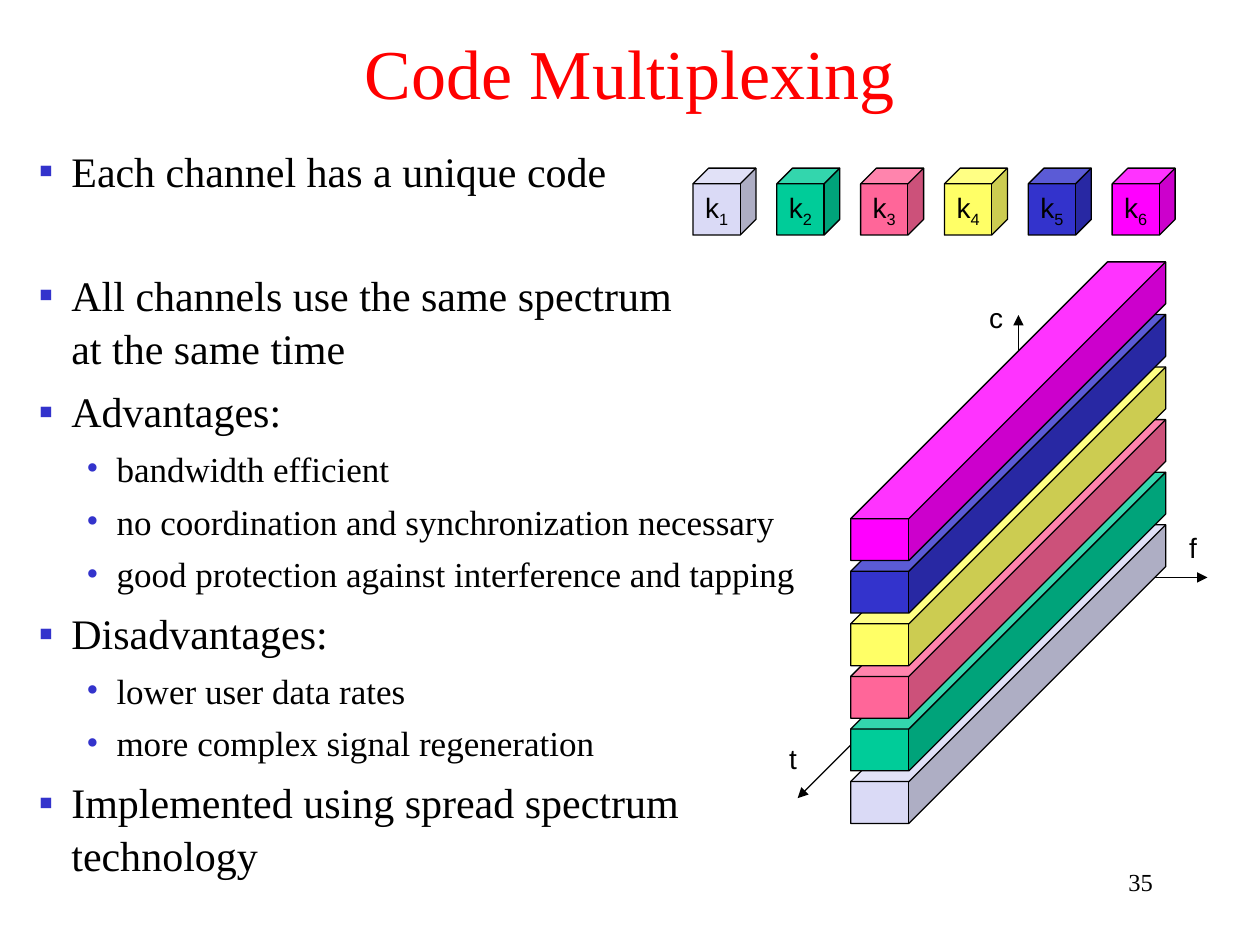
from lxml import etree
from pptx import Presentation
from pptx.dml.color import RGBColor
from pptx.enum.shapes import MSO_CONNECTOR, MSO_SHAPE
from pptx.enum.text import MSO_ANCHOR, PP_ALIGN
from pptx.oxml.ns import qn
from pptx.util import Cm, Pt

CUBE = MSO_SHAPE.CUBE
STRAIGHT = MSO_CONNECTOR.STRAIGHT
MIDDLE = MSO_ANCHOR.MIDDLE
LEFT, CENTER, RIGHT = PP_ALIGN.LEFT, PP_ALIGN.CENTER, PP_ALIGN.RIGHT


class Theme:
    serif = "Times New Roman"
    sans = "Arial"
    black = "000000"
    title = "FF0000"
    bullet = "3333CC"
    channels = ["DADAF6", "00CC99", "FF6699", "FFFF66", "3333CC", "FF00FF"]
    title_size = 40
    point_size = 24
    detail_size = 20
    label_size = 16
    number_size = 14
    line_width = 0.75


def style_text(paragraph, size, font=Theme.serif, color=Theme.black, align=LEFT):
    paragraph.alignment = align
    for run in paragraph.runs:
        run.font.size = Pt(size)
        run.font.name = font
        run.font.color.rgb = RGBColor.from_string(color)


def add_cube(left, top, width, height, depth, color):
    cube = slide.shapes.add_shape(CUBE, Cm(left), Cm(top), Cm(width), Cm(height))
    cube.adjustments[0] = depth
    cube.shadow.inherit = False
    cube.fill.solid()
    cube.fill.fore_color.rgb = RGBColor.from_string(color)
    cube.line.color.rgb = RGBColor.from_string(Theme.black)
    cube.line.width = Pt(Theme.line_width)
    return cube


prs = Presentation()
prs.slide_width, prs.slide_height = Cm(25.4), Cm(19.05)
slide = prs.slides.add_slide(prs.slide_layouts[6])

page_number = slide.shapes.add_textbox(Cm(18.21), Cm(17.35), Cm(5.28), Cm(1.27)).text_frame
page_number.word_wrap = True
page_number.text = "35"
style_text(page_number.paragraphs[0], Theme.number_size, align=RIGHT)

origin_x, origin_y = 20.53, 11.64
for dx, dy in [(-4.45, 4.45), (0, -5.29), (3.81, 0)]:
    axis = slide.shapes.add_connector(
        STRAIGHT, Cm(origin_x), Cm(origin_y), Cm(origin_x + dx), Cm(origin_y + dy))
    axis.line.color.rgb = RGBColor.from_string(Theme.black)
    axis.line.width = Pt(Theme.line_width)
    etree.SubElement(axis.line._get_or_add_ln(), qn("a:tailEnd"), type="triangle")
    etree.SubElement(axis._element.spPr, qn("a:effectLst"))

title = slide.shapes.add_textbox(0, Cm(0.38), Cm(25.4), Cm(2.12)).text_frame
title.word_wrap = True
title.vertical_anchor = MIDDLE
title.text = "Code Multiplexing"
style_text(title.paragraphs[0], Theme.title_size, color=Theme.title, align=CENTER)

levels = [
    {"size": Theme.point_size, "margin": 0.66, "hang": 0.66, "mark": "▪", "before": 6},
    {"size": Theme.detail_size, "margin": 1.57, "hang": 0.61, "mark": "•", "before": 5},
]
points = [
    (0, "Each channel has a unique code"),
    (0, "All channels use the same spectrum \vat the same time"),
    (0, "Advantages:"),
    (1, "bandwidth efficient"),
    (1, "no coordination and synchronization necessary"),
    (1, "good protection against interference and tapping"),
    (0, "Disadvantages:"),
    (1, "lower user data rates"),
    (1, "more complex signal regeneration"),
    (0, "Implemented using spread spectrum technology"),
]
body = slide.shapes.add_textbox(Cm(0.53), Cm(2.75), Cm(16.18), Cm(15.62)).text_frame
body.word_wrap = True
for index, (depth, wording) in enumerate(points):
    level = levels[depth]
    point = body.add_paragraph() if index else body.paragraphs[0]
    point.text = wording
    point.level = depth
    point.line_spacing = 1.05
    point.space_before = Pt({0: 0, 1: 41}.get(index, level["before"]))
    properties = point._p.get_or_add_pPr()
    properties.set("marL", str(Cm(level["margin"])))
    properties.set("indent", str(-Cm(level["hang"])))
    bullet_color = etree.SubElement(properties, qn("a:buClr"))
    etree.SubElement(bullet_color, qn("a:srgbClr"), val=Theme.bullet)
    etree.SubElement(properties, qn("a:buFont"), typeface=Theme.serif)
    etree.SubElement(properties, qn("a:buChar"), char=level["mark"])
    style_text(point, level["size"])

for index, color in enumerate(Theme.channels):
    add_cube(17.15, 10.58 - 1.06 * index, 6.35, 6.02, 0.86, color)

for index, color in enumerate(Theme.channels):
    code = add_cube(13.97 + 1.69 * index, 3.39, 1.27, 1.35, 0.25, color).text_frame
    code.word_wrap = False
    code.vertical_anchor = MIDDLE
    code.text = "k"
    subscript = code.paragraphs[0].add_run()
    subscript.text = str(index + 1)
    subscript._r.get_or_add_rPr().set("baseline", "-25000")
    style_text(code.paragraphs[0], Theme.label_size, Theme.sans, align=CENTER)

for name, left, top, width in [("f", 23.72, 10.58, 0.66), ("t", 15.66, 14.82, 0.66),
                               ("c", 19.69, 5.93, 0.79)]:
    axis_label = slide.shapes.add_textbox(Cm(left), Cm(top), Cm(width), Cm(0.93)).text_frame
    axis_label.word_wrap = False
    axis_label.text = name
    style_text(axis_label.paragraphs[0], Theme.label_size, Theme.sans)

prs.save("out.pptx")
